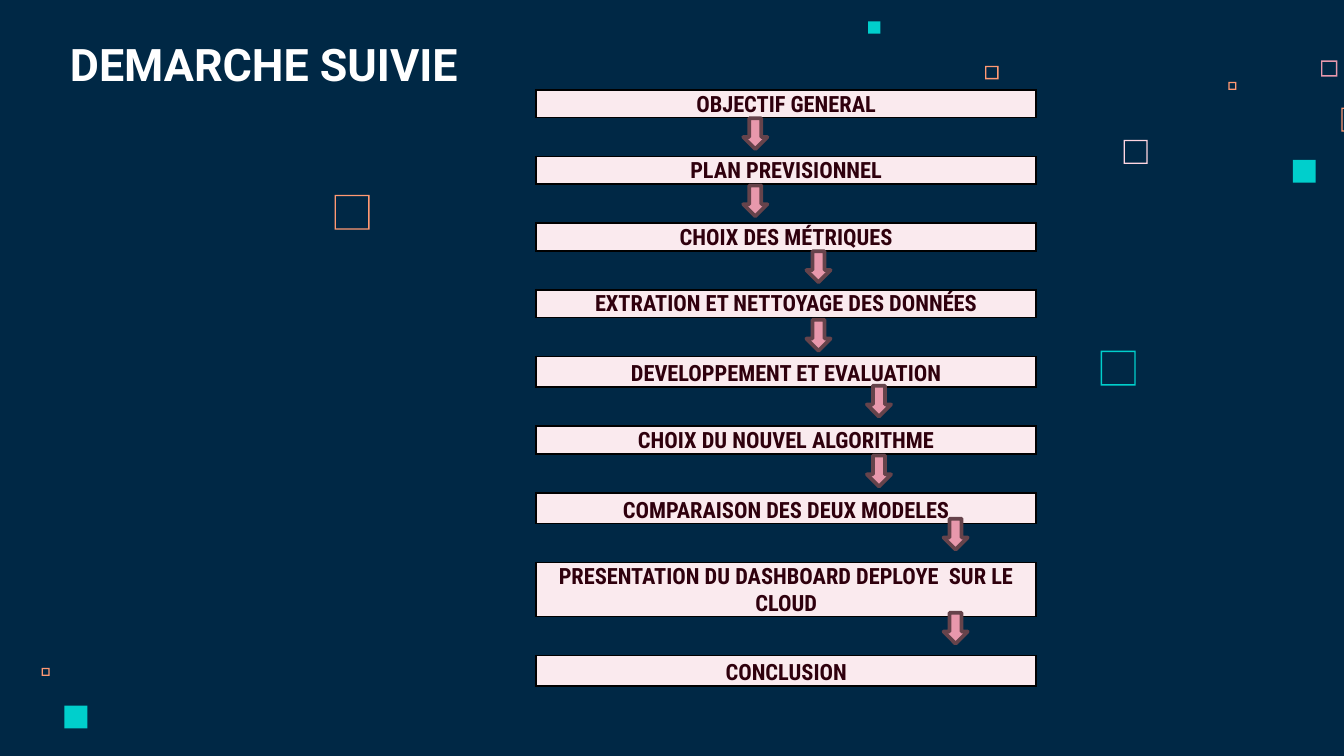
from lxml.etree import SubElement
from pptx import Presentation
from pptx.dml.color import RGBColor
from pptx.enum.shapes import MSO_SHAPE
from pptx.enum.text import MSO_ANCHOR, PP_ALIGN
from pptx.oxml.ns import qn
from pptx.util import Inches, Pt

# Grid: the slide is 1000 units wide, one unit is a thousandth of its width
WIDE = Inches(10)
UNIT = WIDE // 1000
NAVY, TEAL, CORAL, ROSE, BLUSH = "002845", "00CFCC", "FF9973", "E898AC", "FFD6E1"
PALE, WINE, PLUM, BLACK = "FAEAEE", "2F000D", "66434B", "000000"


def paint(fill, color):
    fill.solid()
    fill.fore_color.rgb = RGBColor.from_string(color)


def write(frame, text, size=12, font="Roboto Condensed", color=WINE, align=PP_ALIGN.CENTER):
    para = frame.paragraphs[0]
    para.alignment = align
    run = para.add_run()
    run.text = text
    run.font.size, run.font.name, run.font.bold = Pt(size), font, True
    paint(run.font.fill, color)


deck = Presentation()
deck.slide_width, deck.slide_height = WIDE, WIDE * 9 // 16
slide = deck.slides.add_slide(deck.slide_layouts[5])
paint(slide.background.fill, NAVY)
shapes = slide.shapes

# Solid squares: left, top, side
for left, top, side in [(962, 119, 17), (646, 16, 9), (48, 525, 17)]:
    box = shapes.add_shape(MSO_SHAPE.RECTANGLE, left * UNIT, top * UNIT, side * UNIT, side * UNIT)
    box.shadow.inherit = False
    paint(box.fill, TEAL)
    box.line.fill.background()

# Hollow squares, one unit thick: left, top, side, colour
rings = [
    (836, 104, 18, BLUSH), (983, 45, 12, ROSE), (914, 61, 6, CORAL),
    (998, 80, 18, CORAL), (733, 49, 10, CORAL), (31, 497, 6, CORAL),
    (249, 145, 26, CORAL), (819, 261, 26, TEAL),
]
for left, top, side, color in rings:
    right, low = left + side, top + side
    pen = shapes.build_freeform(left, top, scale=UNIT)
    pen.add_line_segments([(right, top), (right, low), (left, low)])
    pen.move_to(left + 1, top + 1)
    pen.add_line_segments([(left + 1, low - 1), (right - 1, low - 1), (right - 1, top + 1)])
    ring = pen.convert_to_shape()
    ring.shadow.inherit = False
    paint(ring.fill, color)
    ring.line.fill.background()

# Title
title = shapes.title
title.left, title.top, title.width, title.height = 42 * UNIT, 14 * UNIT, 500 * UNIT, 63 * UNIT
frame = title.text_frame
frame.vertical_anchor = MSO_ANCHOR.BOTTOM
frame.margin_left = frame.margin_right = frame.margin_top = frame.margin_bottom = 10 * UNIT
write(frame, "DEMARCHE SUIVIE", size=24, font="Roboto", color="FFFFFF", align=PP_ALIGN.LEFT)

# Steps: text and row height, with an open row between two steps
steps = [
    ("OBJECTIF GENERAL", 20), ("PLAN PREVISIONNEL", 20), ("CHOIX DES MÉTRIQUES", 20),
    ("EXTRATION ET NETTOYAGE DES DONNÉES", 20), ("DEVELOPPEMENT ET EVALUATION", 23),
    ("CHOIX DU NOUVEL ALGORITHME", 20), ("COMPARAISON DES DEUX MODELES", 23),
    ("PRESENTATION DU DASHBOARD DEPLOYE  SUR LE CLOUD", 40), ("CONCLUSION", 23),
]
GAP = 29
count = 2 * len(steps) - 1
tall = sum(high for _, high in steps) + GAP * (len(steps) - 1)
table = shapes.add_table(count, 1, 399 * UNIT, 67 * UNIT, 372 * UNIT, tall * UNIT).table
table.first_row = table.horz_banding = False
for row in range(count):
    cell = table.cell(row, 0)
    step = row % 2 == 0
    text, high = steps[row // 2] if step else ("", GAP)
    table.rows[row].height = high * UNIT
    cell.margin_left = cell.margin_right = cell.margin_top = UNIT
    cell.margin_bottom = 0
    cell.vertical_anchor = MSO_ANCHOR.BOTTOM
    # Borders: all round a step, only above and below an open row
    for edge in "LRTB":
        line = SubElement(cell._tc.get_or_add_tcPr(), qn("a:ln" + edge), w=str(Pt(1)))
        if step or edge in "TB":
            SubElement(SubElement(line, qn("a:solidFill")), qn("a:srgbClr"), val=BLACK)
        else:
            SubElement(line, qn("a:noFill"))
    if step:
        paint(cell.fill, PALE)
        write(cell.text_frame, text)
    else:
        cell.fill.background()
        SubElement(cell.text_frame.paragraphs[0]._p, qn("a:endParaRPr"), sz="1200")

# Arrows, two to a column, stepping to the right
tops = [88, 138, 187, 238, 287, 339, 386, 456]
lefts = [553, 600, 645, 702]
for num, top in enumerate(tops):
    arrow = shapes.add_shape(
        MSO_SHAPE.DOWN_ARROW, lefts[num // 2] * UNIT, top * UNIT, 18 * UNIT, 23 * UNIT)
    arrow.shadow.inherit = False
    paint(arrow.fill, ROSE)
    paint(arrow.line.fill, PLUM)
    arrow.line.width = Pt(2)
    SubElement(arrow.line._get_or_add_ln(), qn("a:round"))

deck.save("out.pptx")
